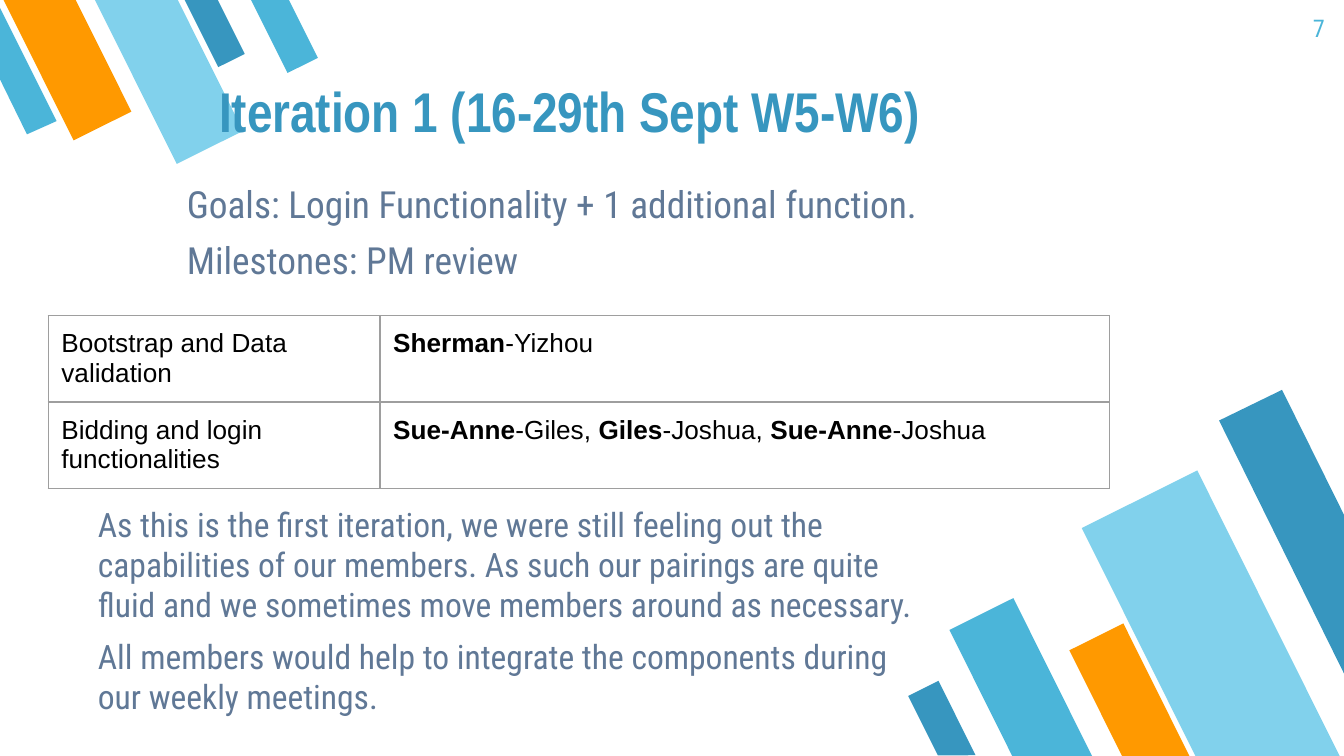
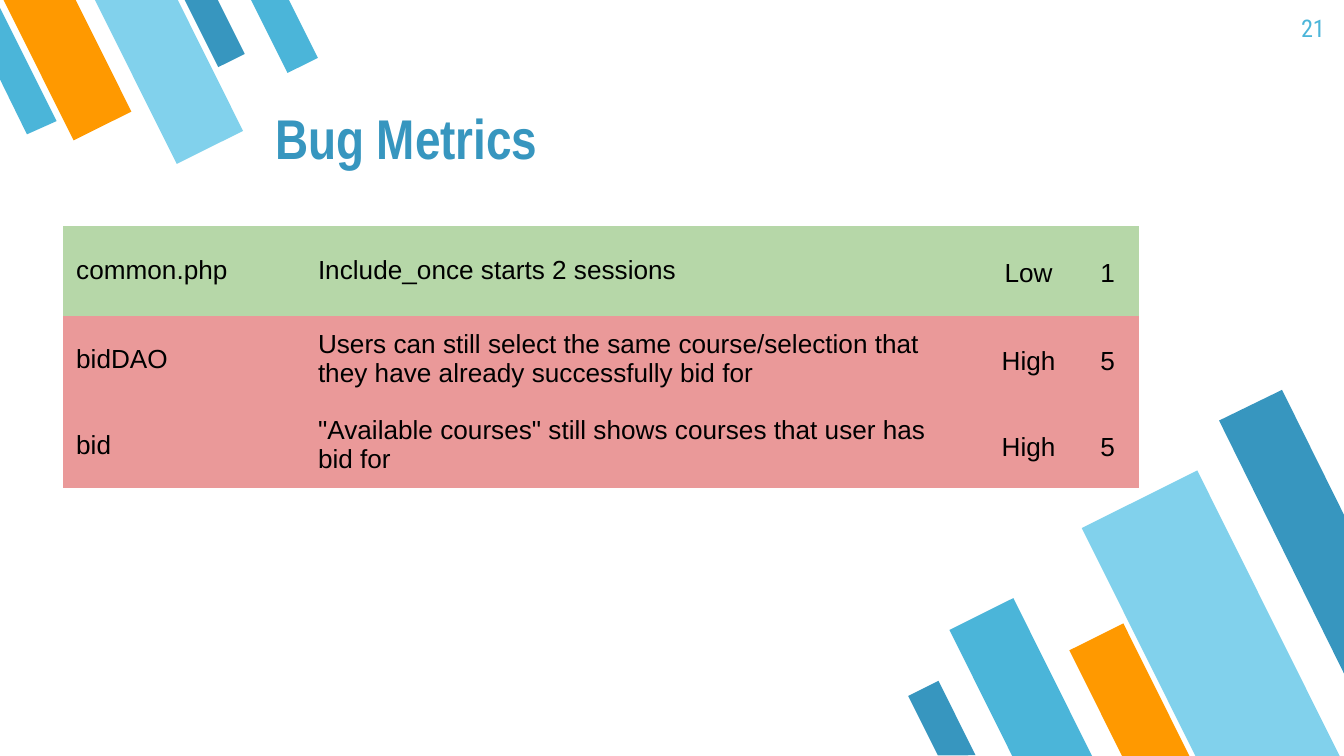
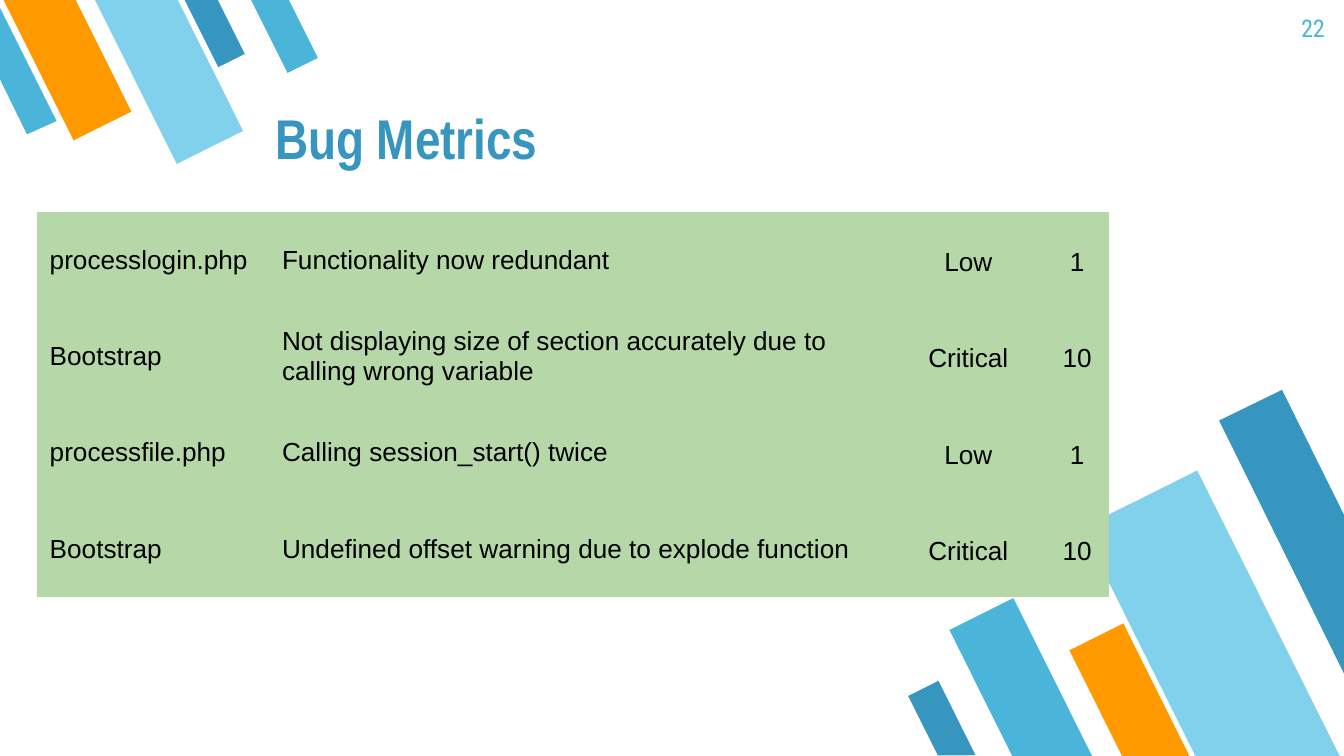
from pptx import Presentation
from pptx.dml.color import RGBColor
from pptx.enum.shapes import MSO_SHAPE
from pptx.enum.text import MSO_ANCHOR as ANCHOR, MSO_AUTO_SIZE as AUTO_SIZE, PP_ALIGN as ALIGN
from pptx.oxml import parse_xml
from pptx.oxml.ns import nsdecls, qn
from pptx.util import Cm, Pt

SKY, PALE, ORANGE, BLUE = "4BB5D9", "81D1EC", "FF9900", "3796BF"
SLATE, BLACK, GRAY = "607896", "000000", "9E9E9E"
GREEN, RED = "B6D7A8", "EA9999"
NO_GRID = "{2D5ABB26-0587-4C30-8999-92F81FD0307C}"
INSET = Cm(0.25)


def paint(color_format, value):
    color_format.rgb = RGBColor.from_string(value)


def style(paragraph, face, size, color, align=ALIGN.LEFT, line_spacing=1.0, space_before=0):
    paragraph.alignment = align
    paragraph.line_spacing = line_spacing
    paragraph.space_before = Pt(space_before)
    for run in paragraph.runs:
        run.font.name = face
        run.font.size = Pt(size)
        paint(run.font.color, color)


presentation = Presentation()
presentation.slide_width, presentation.slide_height = Cm(25.4), Cm(14.29)
layouts = presentation.slide_layouts
two_content, title_only = layouts[3], layouts[5]
slides = [presentation.slides.add_slide(layout) for layout in (two_content, title_only, title_only)]

bars = [
    (18.62, 11.43, 1.35, 3.35, 153.5, SKY),
    (21.67, 9.12, 2.44, 6.07, 153.5, PALE),
    (20.78, 11.89, 1.14, 2.82, 153.5, ORANGE),
    (17.48, 12.93, 0.64, 1.57, 153.5, BLUE),
    (3.78, -0.2, 0.56, 1.42, 333.5, BLUE),
    (0.66, -0.46, 1.22, 3, 333.5, ORANGE),
    (2.49, -0.51, 1.4, 3.48, 333.5, PALE),
    (5.05, -0.25, 0.64, 1.57, 333.5, SKY),
]
cropped_bars = [
    ([(24.23, 7.37), (23.04, 7.95), (25.4, 12.73), (25.4, 9.73)], BLUE),
    ([(0.51, 2.54), (1.07, 2.29), (0, 0.15), (0, 1.5)], SKY),
]
decoration = []
for left, top, width, height, angle, color in bars:
    bar = slides[0].shapes.add_shape(
        MSO_SHAPE.FLOWCHART_MANUAL_INPUT, Cm(left), Cm(top), Cm(width), Cm(height))
    bar.rotation = angle
    bar.element.spPr.find(qn("a:xfrm")).set("flipH", "1")
    decoration.append((bar, color))
for corners, color in cropped_bars:
    points = [(Cm(x), Cm(y)) for x, y in corners]
    builder = slides[0].shapes.build_freeform(*points[0])
    builder.add_line_segments(points[1:], close=True)
    decoration.append((builder.convert_to_shape(), color))
for number, (bar, color) in enumerate(decoration, start=20):
    bar.shadow.inherit = False
    bar.fill.solid()
    paint(bar.fill.fore_color, color)
    bar.line.fill.background()
    bar.element.nvSpPr.cNvPr.set("id", str(number))
    presentation.slide_master.shapes.element.append(bar.element)

pages = [
    ("7", "Iteration 1 (16-29th Sept W5-W6)", 3.89, 1.09),
    ("21", "Bug Metrics", 4.95, 1.6),
    ("22", "Bug Metrics", 4.95, 1.6),
]
for slide, (number, heading, left, top) in zip(slides, pages):
    title = slide.shapes.title
    title.left, title.top, title.width, title.height = Cm(left), Cm(top), Cm(16), Cm(1.88)
    title.text_frame.text = heading
    title.text_frame.vertical_anchor = ANCHOR.BOTTOM
    style(title.text_frame.paragraphs[0], "Arial Narrow", 30, BLUE)
    title.text_frame.paragraphs[0].runs[0].font.bold = True
    page_number = slide.shapes.add_textbox(Cm(23.77), 0, Cm(1.52), Cm(1.09))
    page_number.text_frame.text = number
    style(page_number.text_frame.paragraphs[0], "Roboto Condensed", 13, SKY, ALIGN.RIGHT)

bodies = [
    (3.28, 3.18, 7.01, 20, [
        "Goals: Login Functionality + 1 additional function.",
        "Milestones: PM review",
    ]),
    (1.6, 9.27, 4.78, 18, [
        "As this is the first iteration, we were still feeling out the capabilities of our members. "
        "As such our pairings are quite fluid and we sometimes move members around as necessary.",
        "All members would help to integrate the components during our weekly meetings.",
    ]),
]
for index, (left, top, height, size, lines) in enumerate(bodies, start=1):
    body = slides[0].placeholders[index]
    body.left, body.top, body.width, body.height = Cm(left), Cm(top), Cm(16), Cm(height)
    body.text_frame.text = "\n".join(lines)
    body.text_frame.vertical_anchor = ANCHOR.TOP
    for paragraph in body.text_frame.paragraphs:
        style(paragraph, "Roboto Condensed", size, SLATE, space_before=6)
        properties = paragraph._p.get_or_add_pPr()
        properties.set("marL", "0")
        properties.set("indent", "0")
        properties.append(parse_xml(f"<a:buNone {nsdecls('a')}/>"))

for slide in slides:
    for shape in slide.shapes:
        frame = shape.text_frame
        frame.word_wrap = True
        frame.auto_size = AUTO_SIZE.NONE
        frame.margin_left = frame.margin_right = frame.margin_top = frame.margin_bottom = INSET

tables = [
    (0.91, 5.97, [6.27, 13.79], [1.63, 1.63], [None, None], [
        ["Bootstrap and Data validation", "*Sherman*-Yizhou"],
        ["Bidding and login functionalities",
         "*Sue-Anne*-Giles, *Giles*-Joshua, *Sue-Anne*-Joshua"],
    ]),
    (1.19, 4.27, [4.57, 12.78, 1.8, 1.19], [1.7, 1.63, 1.63], [GREEN, RED, RED], [
        ["common.php", "Include_once starts 2 sessions", "Low", "1"],
        ["bidDAO", "Users can still select the same course/selection that "
         "they have already successfully bid for", "High", "5"],
        ["bid", '"Available courses" still shows courses that user has bid for', "High", "5"],
    ]),
    (0.69, 4.01, [4.39, 11.76, 2.92, 1.19], [1.82] * 4, [GREEN] * 4, [
        ["processlogin.php", "Functionality now redundant", "Low", "1"],
        ["Bootstrap", "Not displaying size of section accurately due to calling wrong variable",
         "Critical", "10"],
        ["processfile.php", "Calling session_start() twice", "Low", "1"],
        ["Bootstrap", "Undefined offset warning due to explode function", "Critical", "10"],
    ]),
]
for slide, (left, top, widths, heights, fills, rows) in zip(slides, tables):
    table = slide.shapes.add_table(
        len(rows), len(widths), Cm(left), Cm(top), Cm(sum(widths)), Cm(sum(heights))).table
    table.first_row = table.horz_banding = False
    table._tbl.tblPr.find(qn("a:tableStyleId")).text = NO_GRID
    for column, width in zip(table.columns, widths):
        column.width = Cm(width)
    for row, height, fill, texts in zip(table.rows, heights, fills, rows):
        row.height = Cm(height)
        for index, (cell, text) in enumerate(zip(row.cells, texts)):
            cell.margin_left = cell.margin_right = cell.margin_top = cell.margin_bottom = INSET
            paragraph = cell.text_frame.paragraphs[0]
            for position, part in enumerate(text.split("*")):
                if part:
                    run = paragraph.add_run()
                    run.text = part
                    run.font.bold = position % 2 == 1
            centered = index > 1
            style(paragraph, "Arial", 14, BLACK, ALIGN.CENTER if centered else ALIGN.LEFT,
                  1.15 if centered else 1.0)
            if fill:
                cell.vertical_anchor = ANCHOR.MIDDLE
                cell.fill.solid()
                paint(cell.fill.fore_color, fill)
            else:
                for side in ("lnL", "lnR", "lnT", "lnB"):
                    cell._tc.get_or_add_tcPr().append(parse_xml(
                        f'<a:{side} {nsdecls("a")} w="{Pt(0.75)}"><a:solidFill>'
                        f'<a:srgbClr val="{GRAY}"/></a:solidFill></a:{side}>'))
                cell.fill.background()

presentation.save("out.pptx")
